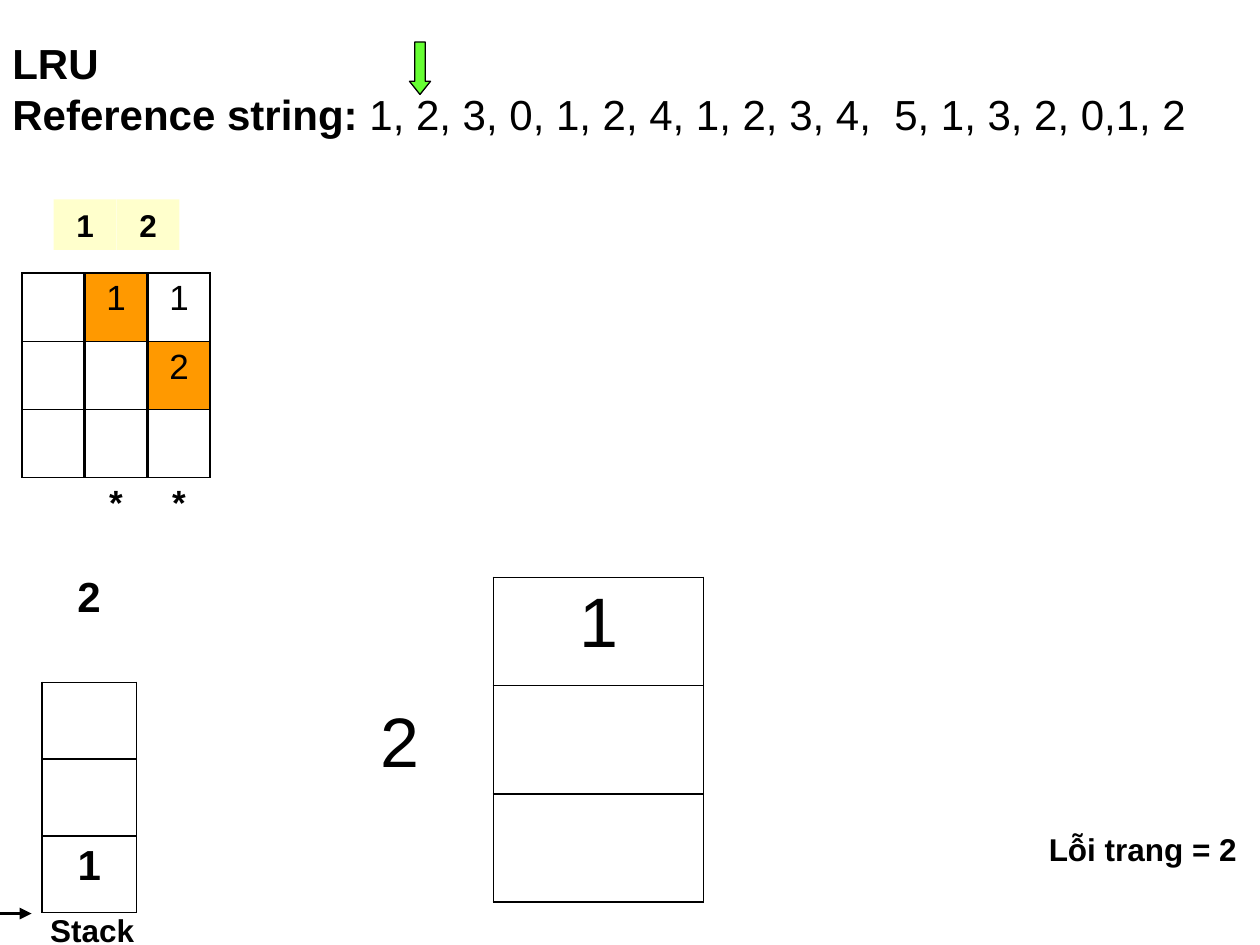
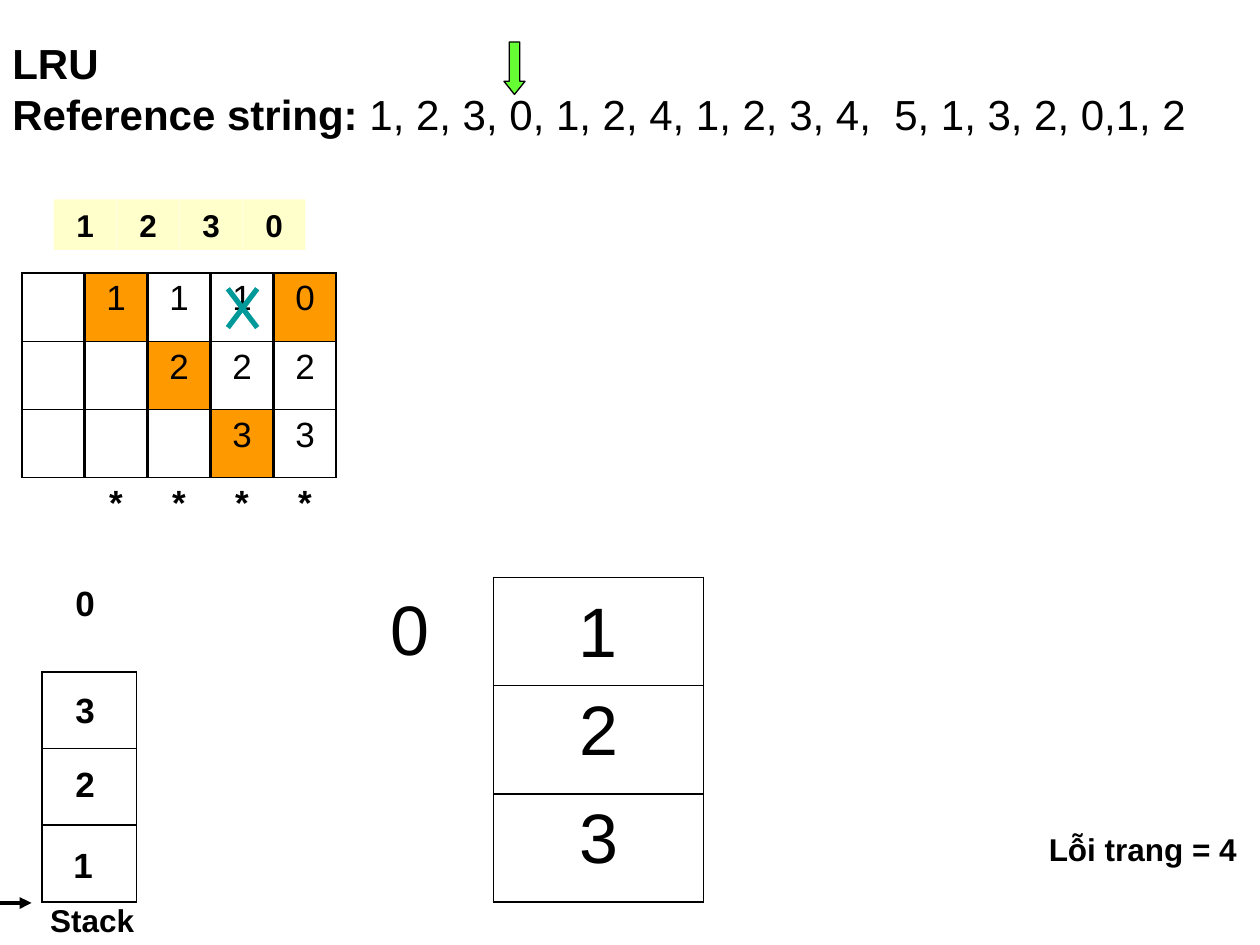
"""Builds two LRU page replacement slides with frame columns, a stack and a fault count."""
from dataclasses import dataclass

from pptx import Presentation
from pptx.dml.color import RGBColor
from pptx.enum.shapes import MSO_CONNECTOR as Connector, MSO_SHAPE as Preset
from pptx.enum.text import MSO_ANCHOR as Anchor, MSO_AUTO_SIZE as AutoSize, PP_ALIGN as Align
from pptx.oxml.xmlchemy import OxmlElement
from pptx.util import Pt

PX = 7620


@dataclass(frozen=True)
class Theme:
    font: str = "Arial"
    ink: str = "000000"
    request: str = "FFFFCC"
    loaded: str = "FF9900"
    pointer: str = "66FF33"
    cross: str = "009999"
    title: int = 24
    label: int = 18
    frame: int = 20
    memory: int = 40
    border: float = 1.08
    hairline: float = 0.45


THEME = Theme()
STEP = 60
FRAME_TOP = 260
REFERENCES = " 1, 2, 3, 0, 1, 2, 4, 1, 2, 3, 4,  5, 1, 3, 2, 0,1, 2"


def px(*lengths):
    return [length * PX for length in lengths]


def color(code):
    return RGBColor.from_string(code)


def write(frame, paragraphs, *, size, bold=False, align=Align.LEFT, before=0):
    if isinstance(paragraphs, str):
        paragraphs = [[(paragraphs, bold)]]
    for index, spans in enumerate(paragraphs):
        para = frame.add_paragraph() if index else frame.paragraphs[0]
        para.alignment = align
        para.space_before = Pt(before)
        for text, heavy in spans:
            span = para.add_run()
            span.text = text
            span.font.name = THEME.font
            span.font.size = Pt(size)
            span.font.bold = heavy
            span.font.color.rgb = color(THEME.ink)


def add_text(page, text, x, y, width, height, *, wrap=False, **style):
    box = page.shapes.add_textbox(*px(x, y, width, height))
    box.text_frame.word_wrap = wrap
    box.text_frame.auto_size = AutoSize.SHAPE_TO_FIT_TEXT
    write(box.text_frame, text, **style)


def add_preset(page, preset, x, y, width, height, fill):
    shape = page.shapes.add_shape(preset, *px(x, y, width, height))
    shape.shadow.inherit = False
    shape.fill.solid()
    shape.fill.fore_color.rgb = color(fill)
    shape.line.fill.background()
    return shape


def add_line(shapes, x1, y1, x2, y2, *, line_color, weight, arrow=False):
    line = shapes.add_connector(Connector.STRAIGHT, *px(x1, y1, x2, y2))
    line.line.color.rgb = color(line_color)
    line.line.width = Pt(weight)
    if arrow:
        tip = OxmlElement("a:tailEnd")
        tip.set("type", "triangle")
        line.line._get_or_add_ln().append(tip)
    line._element.spPr.append(OxmlElement("a:effectLst"))


def set_borders(cell, weights):
    properties = cell._tc.get_or_add_tcPr()
    for index, (side, weight) in enumerate(zip("LRTB", weights)):
        line = OxmlElement(f"a:ln{side}")
        line.set("w", str(Pt(weight)))
        if weight:
            fill = OxmlElement("a:solidFill")
            ink = OxmlElement("a:srgbClr")
            ink.set("val", THEME.ink)
            fill.append(ink)
        else:
            fill = OxmlElement("a:noFill")
        line.append(fill)
        properties.insert(index, line)


def add_column(page, x, y, width, row_height, texts, *, size, before, bold=False,
               inner=THEME.border, boxed=3, loaded=None):
    count = len(texts)
    table = page.shapes.add_table(count, 1, *px(x, y, width, row_height * count)).table
    table.first_row = table.horz_banding = False
    for row, text in enumerate(texts):
        table.rows[row].height = row_height * PX
        cell = table.cell(row, 0)
        if row == loaded:
            cell.fill.solid()
            cell.fill.fore_color.rgb = color(THEME.loaded)
        else:
            cell.fill.background()
        side = THEME.border if row < boxed else 0
        top = THEME.border if row in (0, boxed) else inner
        bottom = inner if row < boxed - 1 else side
        set_borders(cell, (side, side, top, bottom))
        if text:
            write(cell.text_frame, text, size=size, before=before,
                  bold=bold or row >= boxed, align=Align.CENTER)


def add_frames(page, x, texts, loaded=None):
    add_column(page, x, FRAME_TOP, 59, 65, texts, size=THEME.frame, before=5,
               inner=THEME.hairline, loaded=loaded)


def add_request(page, index, number):
    box = add_preset(page, Preset.RECTANGLE, 51 + STEP * index, 190, STEP, 48, THEME.request)
    box.text_frame.vertical_anchor = Anchor.TOP
    box.text_frame.auto_size = AutoSize.SHAPE_TO_FIT_TEXT
    write(box.text_frame, number, size=THEME.label, bold=True, align=Align.CENTER, before=11.2)


def add_pointer(page, x):
    arrow = add_preset(page, Preset.DOWN_ARROW, x, 40, 20, 50, THEME.pointer)
    arrow.adjustments[0] = 0.5
    arrow.adjustments[1] = 0.625
    arrow.line.color.rgb = color(THEME.ink)
    arrow.line.width = Pt(0.75)


def add_cross(page, left, top, right, bottom):
    group = page.shapes.add_group_shape()
    for start, end in ((right, left), (left, right)):
        add_line(group.shapes, start, top, end, bottom, line_color=THEME.cross, weight=3)


def add_stack(page, top, texts):
    base = top + 220
    add_column(page, 40, top, 90, 73, texts, size=THEME.title, before=6, bold=True)
    add_text(page, "Stack", 36, base - 8, 108, 48, size=THEME.label, bold=True)
    add_line(page.shapes, 0, base, 30, base, line_color=THEME.ink, weight=2.25, arrow=True)


def add_memory(page, texts):
    add_column(page, 470, 550, 200, 103, texts, size=THEME.memory, before=10)


def add_memory_number(page, number, x, y):
    add_text(page, number, x, y, 61, 92, size=THEME.memory)


def add_step(deck, history, pointer_x):
    page = deck.slides.add_slide(deck.slide_layouts[6])
    heading = [[("LRU", True)], [("Reference string:", True), (REFERENCES, False)]]
    add_text(page, heading, 0, 30, 1200, 108, wrap=True, size=THEME.title)
    add_frames(page, 21, ("", "", "", ""))
    for index, (number, frames, loaded) in enumerate(history):
        add_request(page, index, number)
        add_frames(page, 81 + STEP * index, (*frames, "*"), loaded)
    add_pointer(page, pointer_x)
    add_text(page, f"Lỗi trang = {len(history)}", 987, 785, 203, 48,
             size=THEME.label, bold=True)
    return page


def main():
    deck = Presentation()
    deck.slide_width, deck.slide_height = px(1200, 900)
    history = [("1", ("1", "", ""), 0), ("2", ("1", "2", ""), 1),
               ("3", ("1", "2", "3"), 2), ("0", ("0", "2", "3"), 0)]

    second = add_step(deck, history[:2], 390)
    add_memory(second, ("1", "", ""))
    add_stack(second, 650, ("", "", "1"))
    add_memory_number(second, "2", 351, 658)
    add_text(second, "2", 62, 537, 46, 60, size=THEME.title, bold=True)

    fourth = add_step(deck, history, 480)
    add_cross(fourth, 217, 275, 245, 312)
    add_memory(fourth, ("", "2", "3"))
    add_stack(fourth, 640, ("", "", ""))
    for number, x, y in (("1", 58, 797), ("2", 60, 720), ("3", 60, 650), ("0", 60, 548)):
        add_text(fourth, number, x, y, 42, 53, size=THEME.frame, bold=True)
    add_memory_number(fourth, "0", 360, 552)
    add_memory_number(fourth, "1", 539, 554)

    deck.save("out.pptx")


if __name__ == "__main__":
    main()
